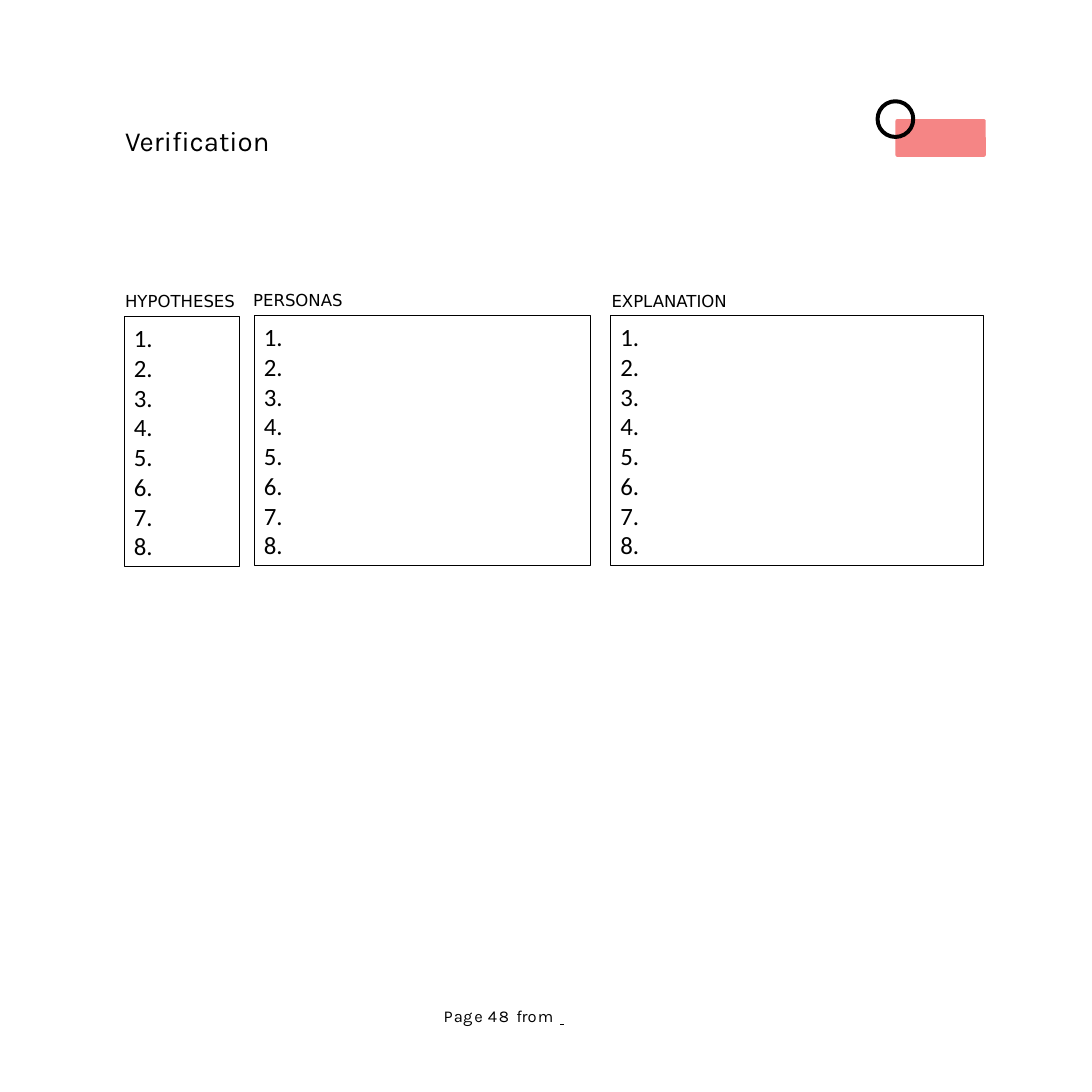
from lxml import etree
from pptx import Presentation
from pptx import util as u
from pptx.dml.color import RGBColor
from pptx.enum import shapes, text
from pptx.oxml import ns

BLACK = RGBColor(0x00, 0x00, 0x00)
CORAL = RGBColor(0xF5, 0x85, 0x85)
HEADING_FONT = "Karla"
LABEL_FONT = "DejaVu Sans"
LIST_FONT = "Calibri"


class Worksheet:
    """Holds the style and the current slide of the verification worksheet."""

    def __init__(self, presentation):
        self.slide = presentation.slides.add_slide(presentation.slide_layouts[6])

    def add_text(self, paragraph, wording, font, size, spacing=0, underline=None):
        run = paragraph.add_run()
        run.text = wording
        run.font.name = font
        run.font.size = u.Pt(size)
        run.font.color.rgb = BLACK
        run.font.underline = underline
        if spacing:
            run._r.get_or_add_rPr().set("spc", str(round(spacing * 100)))

    def text_box(self, left, top, width, height):
        box = self.slide.shapes.add_textbox(*map(u.Inches, (left, top, width, height)))
        frame = box.text_frame
        frame.word_wrap = True
        frame.margin_left = frame.margin_top = 0
        frame.margin_right = frame.margin_bottom = 0
        return frame.paragraphs[0]

    def label(self, wording, font, size, left, top, width, height):
        self.add_text(self.text_box(left, top, width, height), wording, font, size)

    def outline(self, kind, left, top, width, height, fill=None, line=None):
        shape = self.slide.shapes.add_shape(kind, *map(u.Inches, (left, top, width, height)))
        shape.shadow.inherit = False
        if fill is None:
            shape.fill.background()
        else:
            shape.fill.solid()
            shape.fill.fore_color.rgb = fill
        if line is None:
            shape.line.fill.background()
        else:
            shape.line.color.rgb = BLACK
            shape.line.width = u.Pt(line)
        return shape

    def emblem(self):
        bar = self.outline(shapes.MSO_SHAPE.ROUNDED_RECTANGLE, 9.02, 1.2, 0.91, 0.38, fill=CORAL)
        bar.adjustments[0] = 0.05
        self.outline(shapes.MSO_SHAPE.OVAL, 8.84, 1.02, 0.36, 0.36, line=2.88)

    def numbered_box(self, left, top, width, count=8):
        shape = self.outline(shapes.MSO_SHAPE.RECTANGLE, left, top, width, 2.52, line=0.75)
        frame = shape.text_frame
        frame.vertical_anchor = text.MSO_ANCHOR.MIDDLE
        for number in range(1, count + 1):
            paragraph = frame.paragraphs[0] if number == 1 else frame.add_paragraph()
            paragraph.alignment = text.PP_ALIGN.LEFT
            self.add_text(paragraph, f"{number}.", LIST_FONT, 18)

    def page_line(self, pieces):
        paragraph = self.text_box(4.47, 10.14, 1.4, 0.2)
        properties = paragraph._p.get_or_add_pPr()
        tabs = etree.SubElement(properties, ns.qn("a:tabLst"))
        etree.SubElement(tabs, ns.qn("a:tab"), pos=str(u.Inches(1.35)), algn="l")
        paragraph.line_spacing = u.Pt(14.1)
        for wording, spacing in pieces:
            self.add_text(paragraph, wording, HEADING_FONT, 12, spacing)
        self.add_text(paragraph, " \t", "Times New Roman", 12, underline=True)


def main():
    presentation = Presentation()
    presentation.slide_width = presentation.slide_height = u.Inches(11)
    worksheet = Worksheet(presentation)

    worksheet.label("Verification", HEADING_FONT, 20, 1.26, 1.25, 5, 0.33)
    worksheet.emblem()

    columns = [
        ("HYPOTHESES", 1.26, 2.93, 1.25, 3.19, 1.16),
        ("PERSONAS", 2.55, 2.92, 2.56, 3.18, 3.39),
        ("EXPLANATION", 6.16, 2.93, 6.15, 3.18, 3.76),
    ]
    for heading, heading_left, heading_top, left, top, width in columns:
        worksheet.label(heading, LABEL_FONT, 12, heading_left, heading_top, 1.25, 0.2)
        worksheet.numbered_box(left, top, width)

    worksheet.page_line([
        ("P", 0.7), ("a", 0.2), ("g", 1.4), ("e ", 0.4),
        ("48 ", 1.2), ("fr", -0.1), ("o", 0.7), ("m ", 1.1),
    ])
    presentation.save("out.pptx")


if __name__ == "__main__":
    main()
